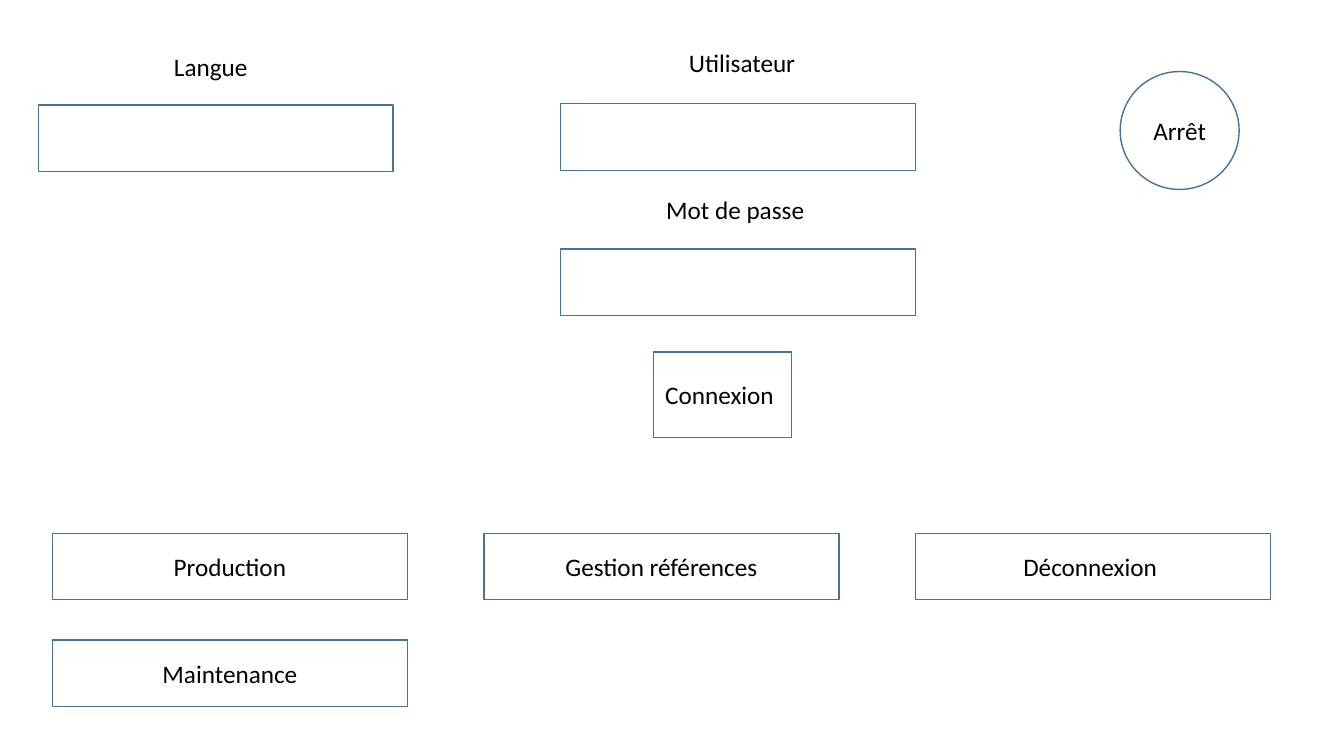
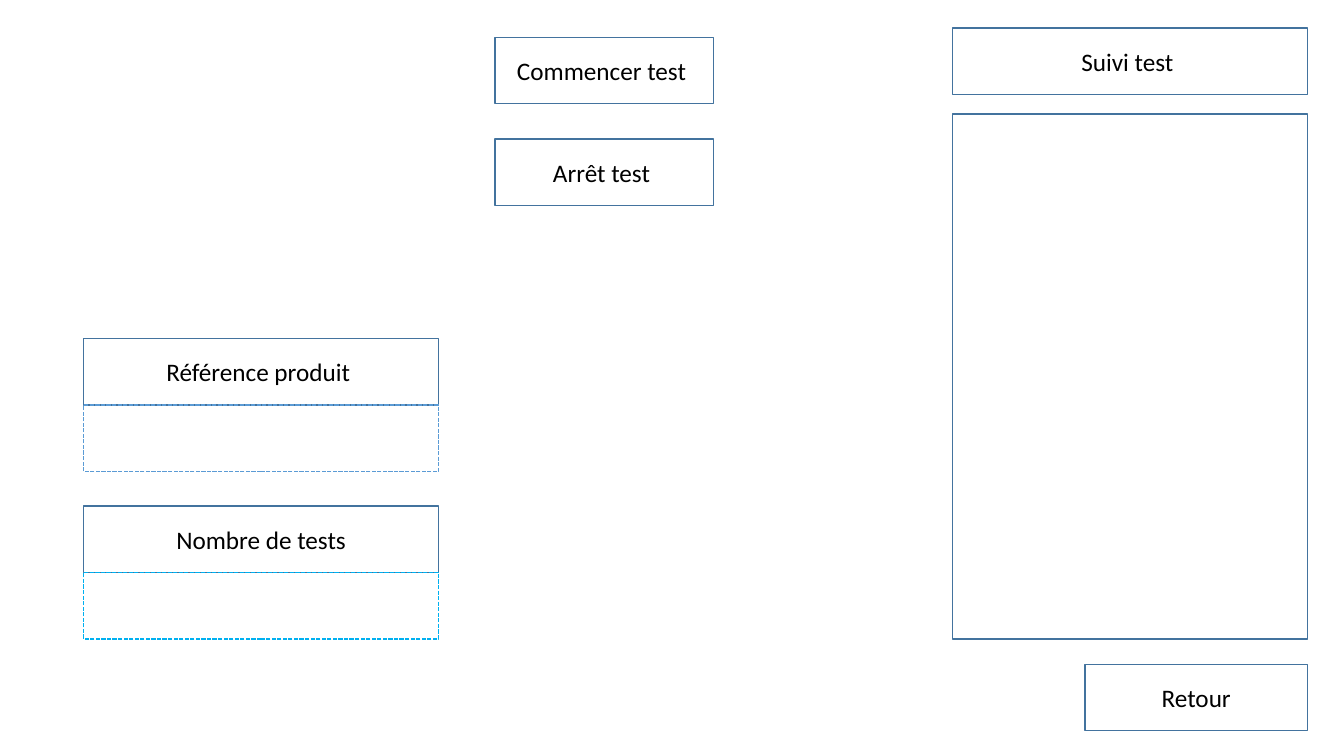
"""Build two wireframe screens: the login menu and the test run."""
import pptx
import pptx.dml.color
import pptx.enum.dml
import pptx.enum.shapes
import pptx.enum.text
import pptx.util

Inches = pptx.util.Inches
RECTANGLE = pptx.enum.shapes.MSO_SHAPE.RECTANGLE
OVAL = pptx.enum.shapes.MSO_SHAPE.OVAL
BORDER = "43739E"
REFERENCE_BORDER = "5B9BD5"
COUNT_BORDER = "00B0F0"
INK = "000000"
FONT = "Calibri"
BOX_WIDTH = 3.52
BOX_HEIGHT = 0.66
LABEL_WIDTH = 3.24
LABEL_HEIGHT = 0.4


def color(hex_code):
    """Turn a hex string into a colour."""
    return pptx.dml.color.RGBColor.from_string(hex_code)


def write(frame, text, size=18, ink=INK, wrap=True):
    """Write one centred line into a text frame."""
    frame.word_wrap = wrap
    frame.vertical_anchor = pptx.enum.text.MSO_ANCHOR.MIDDLE
    line = frame.paragraphs[0]
    line.alignment = pptx.enum.text.PP_ALIGN.CENTER
    run = line.add_run()
    run.text = text
    run.font.name = FONT
    run.font.size = pptx.util.Pt(size)
    run.font.color.rgb = color(ink)


def add_box(slide, left, top, width=BOX_WIDTH, height=BOX_HEIGHT, text="",
            kind=RECTANGLE, border=BORDER, dashed=False):
    """Draw an outlined box, with a caption if one is given."""
    box = slide.shapes.add_shape(
        kind, Inches(left), Inches(top), Inches(width), Inches(height))
    box.shadow.inherit = False
    box.fill.background()
    box.line.color.rgb = color(border)
    box.line.width = pptx.util.Pt(1)
    if dashed:
        box.line.dash_style = pptx.enum.dml.MSO_LINE.SQUARE_DOT
    if text:
        write(box.text_frame, text, wrap=False)


def add_label(slide, left, top, text):
    """Place a free-standing field label."""
    label = slide.shapes.add_textbox(
        Inches(left), Inches(top), Inches(LABEL_WIDTH), Inches(LABEL_HEIGHT))
    write(label.text_frame, text)


def add_entry(slide, left, top, text, border):
    """Draw a captioned box with a dashed input box right below it."""
    add_box(slide, left, top, text=text)
    add_box(slide, left, top + BOX_HEIGHT, border=border, dashed=True)


def build_login(slide):
    """Draw the login fields and the menu buttons."""
    for left, top, text in [(0.52, 5.29, "Production"),
                            (4.8, 5.29, "Gestion références"),
                            (0.52, 6.35, "Maintenance"),
                            (9.08, 5.29, "Déconnexion ")]:
        add_box(slide, left, top, text=text)
    for label_at, field_at, text in [
            ((5.74, 0.42), (5.56, 1.03), "Utilisateur"),
            ((5.7, 1.88), (5.56, 2.47), "Mot de passe "),
            ((0.47, 0.46), (0.38, 1.04), "Langue")]:
        add_label(slide, *label_at, text)
        add_box(slide, *field_at)
    add_box(slide, 6.48, 3.49, 1.37, 0.85, text="Connexion ")
    add_box(slide, 11.11, 0.71, 1.18, 1.17, text="Arrêt", kind=OVAL)


def build_test(slide):
    """Draw the test controls, the entries and the follow-up panel."""
    for top, text in [(0.37, "Commencer test "), (1.38, "Arrêt test ")]:
        add_box(slide, 4.91, top, 2.17, text=text)
    add_entry(slide, 0.83, 3.36, "Référence produit ", REFERENCE_BORDER)
    add_entry(slide, 0.83, 5.02, "Nombre de tests", COUNT_BORDER)
    add_box(slide, 9.45, 0.28, text="Suivi test ")
    add_box(slide, 9.45, 1.13, height=5.21)
    add_box(slide, 10.76, 6.59, 2.21, text="Retour")


def main():
    """Create the deck and save it."""
    deck = pptx.Presentation()
    deck.slide_width = Inches(13.33)
    deck.slide_height = Inches(7.5)
    for build in (build_login, build_test):
        build(deck.slides.add_slide(deck.slide_layouts[6]))
    deck.save("out.pptx")


if __name__ == "__main__":
    main()
